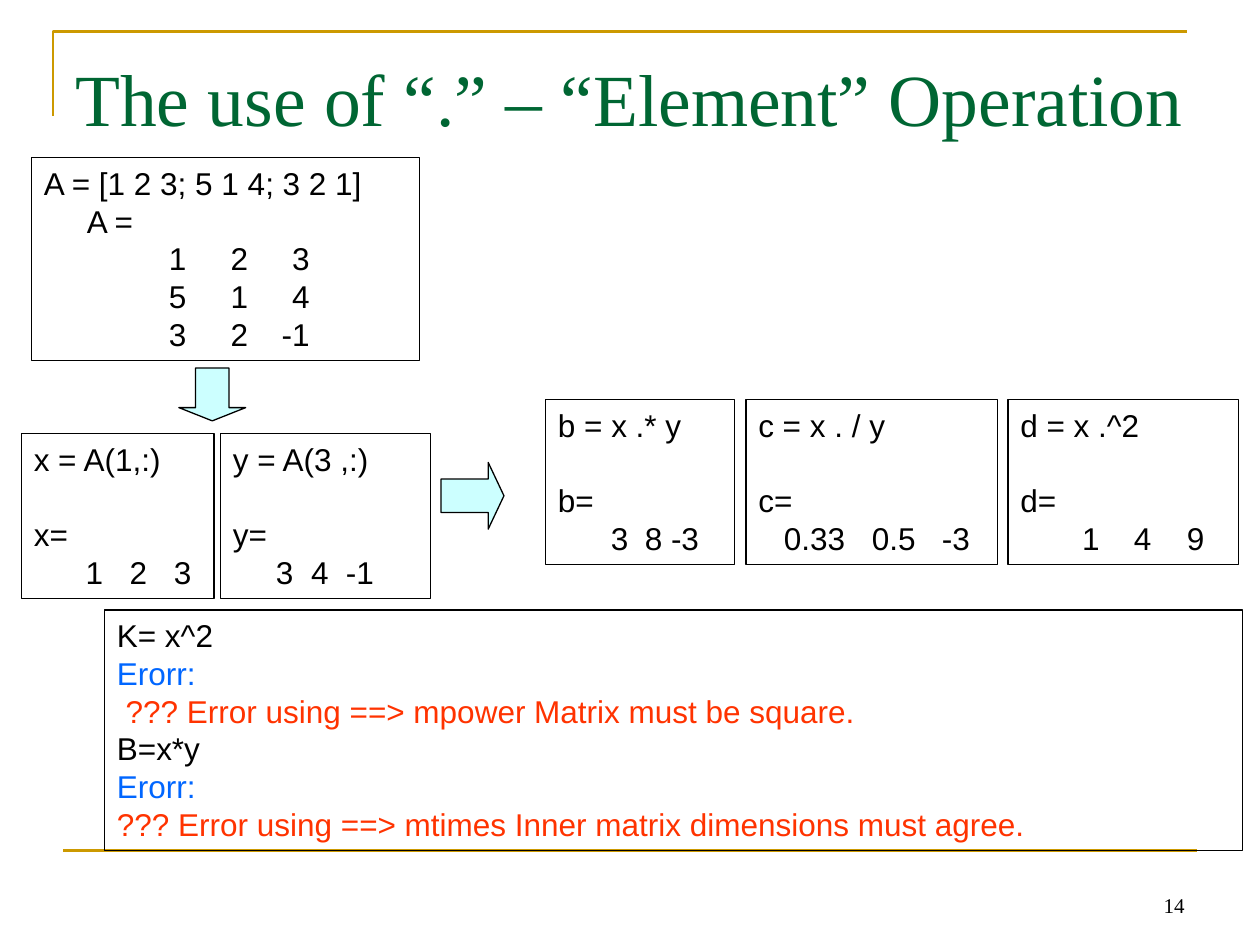
"""Build a slide on element-by-element matrix operations."""
from lxml import etree
from pptx import Presentation
from pptx import util as u
from pptx.dml.color import RGBColor
from pptx.enum import shapes, text
from pptx.oxml.ns import qn

THEME = {
    "ink": "000000", "title": "006633", "rule": "CC9900", "arrow": "CCFFFF",
    "label": "0066FF", "error": "FF3300",
    "serif": "Times New Roman", "sans": "Arial",
    "title_size": 42, "body_size": 18, "number_size": 12,
    "rule_width": 1.5, "border_width": 0.75, "line_pitch": 21.6,
}

TITLE = "The use of “.” – “Element” Operation"
PAGE_NUMBER = "14"
ERRORS = [
    ("K= x^2", "ink"),
    ("Erorr:", "label"),
    (" ??? Error using ==> mpower Matrix must be square.", "error"),
    ("B=x*y", "ink"),
    ("Erorr:", "label"),
    ("??? Error using ==> mtimes Inner matrix dimensions must agree.", "error"),
]
ERROR_BOX = (0.83, 4.84, 9.03, 1.91)
MATRIX = {
    "box": (0.25, 1.25, 3.08, 1.61),
    "command": "A = [1 2 3; 5 1 4; 3 2 1]",
    "name": "A =",
    "rows": [("1", "2", "3"), ("5", "1", "4"), ("3", "2", "-1")],
    "stops": (1.13, 1.62, 2.11),
}
VECTOR_TOP, RESULT_TOP, CARD_HEIGHT = 3.44, 3.17, 1.31
# left, top, width, command, name, values, right edges of the values
CARDS = [
    (0.17, VECTOR_TOP, 1.53, "x = A(1,:)", "x=", ("1", "2", "3"), (0.55, 0.9, 1.25)),
    (1.75, VECTOR_TOP, 1.67, "y = A(3 ,:)", "y=", ("3", "4", "-1"), (0.48, 0.76, 1.12)),
    (4.33, RESULT_TOP, 1.5, "b = x .* y", "b=", ("3", "8", "-3"), (0.56, 0.83, 1.12)),
    (5.92, RESULT_TOP, 2, "c = x . / y", "c=", ("0.33", "0.5", "-3"), (0.69, 1.25, 1.68)),
    (8, RESULT_TOP, 1.83, "d = x .^2", "d=", ("1", "4", "9"), (0.63, 1.04, 1.46)),
]
ARROWS = [
    (shapes.MSO_SHAPE.RIGHT_ARROW, (3.5, 3.67, 0.5, 0.53)),
    (shapes.MSO_SHAPE.DOWN_ARROW, (1.42, 2.92, 0.53, 0.42)),
]


def inches(values):
    return [u.Inches(value) for value in values]


def color(name):
    return RGBColor.from_string(THEME[name])


def set_line(shape, name, width):
    shape.line.color.rgb = color(name)
    shape.line.width = u.Pt(THEME[width])


def add_tab_stops(paragraph, stops):
    tab_list = etree.SubElement(paragraph._p.get_or_add_pPr(), qn("a:tabLst"))
    for stop in stops:
        etree.SubElement(tab_list, qn("a:tab"), pos=str(u.Inches(stop)), algn="r")


def write_run(paragraph, words, size, font, ink):
    run = paragraph.add_run()
    run.text = words
    for key, value in {"size": u.Pt(THEME[size]), "name": THEME[font]}.items():
        setattr(run.font, key, value)
    run.font.color.rgb = color(ink)


def add_box(slide, box, lines):
    shape = slide.shapes.add_shape(shapes.MSO_SHAPE.RECTANGLE, *inches(box))
    shape.shadow.inherit = False
    shape.fill.background()
    set_line(shape, "ink", "border_width")
    frame = shape.text_frame
    frame.word_wrap = True
    frame.vertical_anchor = text.MSO_ANCHOR.TOP
    for index, line in enumerate(lines):
        paragraph = frame.add_paragraph() if index else frame.paragraphs[0]
        layout = {
            "alignment": text.PP_ALIGN.LEFT,
            "line_spacing": u.Pt(THEME["line_pitch"]),
            "space_before": u.Pt(line.get("gap", 0)),
        }
        for key, value in layout.items():
            setattr(paragraph, key, value)
        if "indent" in line:
            paragraph._p.get_or_add_pPr().set("marL", str(u.Inches(line["indent"])))
            paragraph._p.get_or_add_pPr().set("indent", "0")
        if "stops" in line:
            add_tab_stops(paragraph, line["stops"])
        write_run(paragraph, line["text"], "body_size", "sans", line.get("ink", "ink"))


def value_row(values, stops):
    return {"text": "".join("\t" + value for value in values), "stops": stops}


def add_label(slide, box, words, size, ink, **formats):
    frame = slide.shapes.add_textbox(*inches(box)).text_frame
    paragraph = frame.paragraphs[0]
    paragraph.alignment = formats.pop("alignment")
    for key, value in formats.items():
        setattr(frame, key, value)
    write_run(paragraph, words, size, "serif", ink)


def add_rules(slide):
    builder = slide.shapes.build_freeform(u.Inches(0.42), u.Inches(0.92))
    builder.add_line_segments([inches((0.42, 0.25)), inches((9.42, 0.25))], close=False)
    corner = builder.convert_to_shape()
    corner.shadow.inherit = False
    corner.fill.background()
    footer = slide.shapes.add_connector(
        shapes.MSO_CONNECTOR.STRAIGHT, *inches((0.5, 6.75, 9.5, 6.75)))
    etree.SubElement(footer._element.spPr, qn("a:effectLst"))
    for rule in (corner, footer):
        set_line(rule, "rule", "rule_width")
    effects = footer._element.spPr.find(qn("a:effectLst"))
    footer._element.spPr.append(effects)


def main():
    presentation = Presentation()
    presentation.slide_width, presentation.slide_height = inches((10, 7.5))
    slide = presentation.slides.add_slide(presentation.slide_layouts[6])
    add_rules(slide)
    add_label(slide, (0.5, 0.3, 9, 1.25), TITLE, "title_size", "title",
              alignment=text.PP_ALIGN.LEFT, word_wrap=False,
              margin_top=u.Inches(0.12), vertical_anchor=text.MSO_ANCHOR.TOP)
    add_box(slide, ERROR_BOX, [{"text": words, "ink": ink} for words, ink in ERRORS])
    add_box(slide, MATRIX["box"], [
        {"text": MATRIX["command"]},
        {"text": MATRIX["name"], "indent": 0.34},
        *(value_row(row, MATRIX["stops"]) for row in MATRIX["rows"]),
    ])
    for left, top, width, command, name, values, stops in CARDS:
        add_box(slide, (left, top, width, CARD_HEIGHT), [
            {"text": command},
            {"text": name, "gap": THEME["line_pitch"]},
            value_row(values, stops),
        ])
    for kind, box in ARROWS:
        arrow = slide.shapes.add_shape(kind, *inches(box))
        arrow.shadow.inherit = False
        arrow.adjustments[0], arrow.adjustments[1] = 0.5, 0.25
        arrow.fill.solid()
        arrow.fill.fore_color.rgb = color("arrow")
        set_line(arrow, "ink", "border_width")
    add_label(slide, (7.17, 6.83, 2.33, 0.5), PAGE_NUMBER, "number_size", "ink",
              alignment=text.PP_ALIGN.RIGHT, word_wrap=True,
              vertical_anchor=text.MSO_ANCHOR.BOTTOM)
    presentation.save("out.pptx")


if __name__ == "__main__":
    main()
